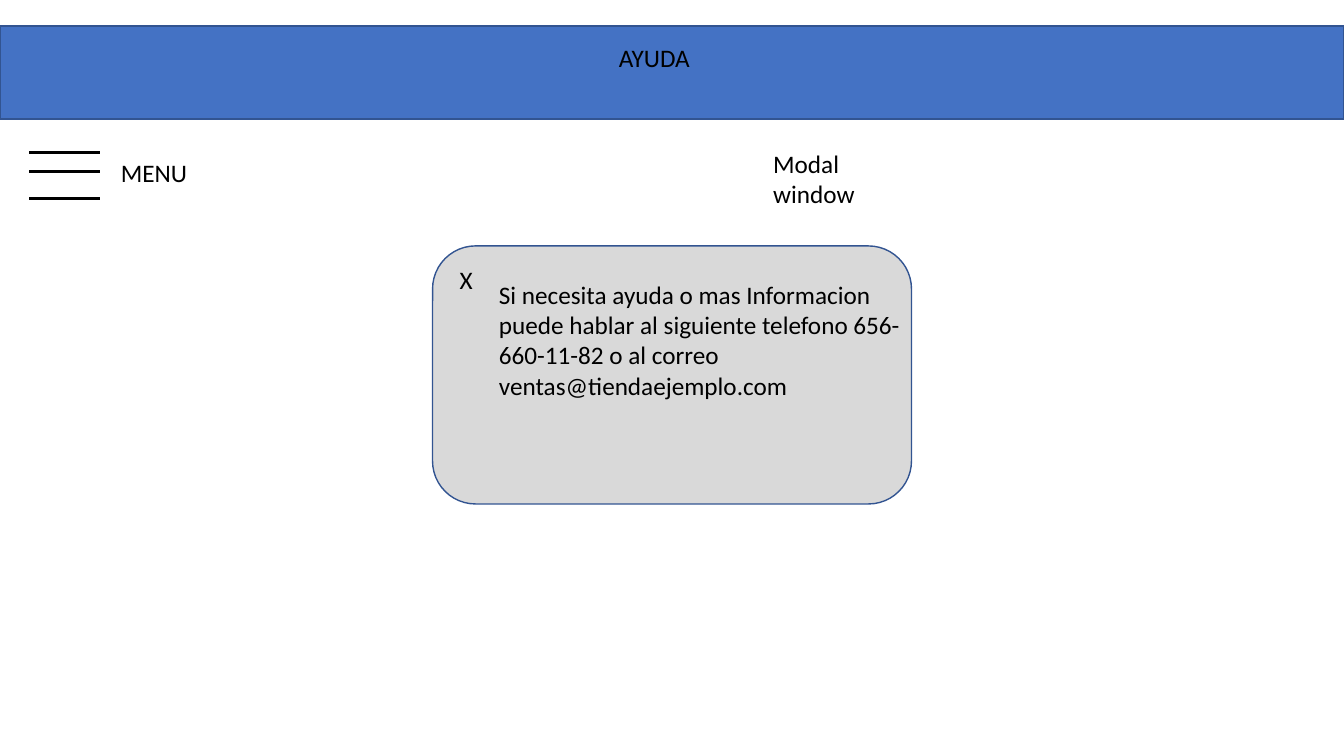
from pptx import Presentation
from pptx.dml.color import RGBColor
from pptx.enum.shapes import MSO_CONNECTOR, MSO_SHAPE
from pptx.enum.text import MSO_AUTO_SIZE
from pptx.oxml.ns import qn
from pptx.util import Inches, Pt
from lxml import etree

FONT = "Calibri"
BLACK, BLUE, OUTLINE, GREY = "000000", "4472C4", "325491", "D9D9D9"


def rgb(color):
    return RGBColor.from_string(color)


def add_panel(slide, kind, left, top, width, height, fill):
    sp = slide.shapes.add_shape(kind, Inches(left), Inches(top), Inches(width), Inches(height))
    sp.shadow.inherit = False
    sp.fill.solid()
    sp.fill.fore_color.rgb = rgb(fill)
    sp.line.color.rgb = rgb(OUTLINE)
    sp.line.width = Pt(1)


def add_label(slide, text, left, top, width, height):
    sp = slide.shapes.add_textbox(Inches(left), Inches(top), Inches(width), Inches(height))
    tf = sp.text_frame
    tf.word_wrap = True
    tf.auto_size = MSO_AUTO_SIZE.SHAPE_TO_FIT_TEXT
    r = tf.paragraphs[0].add_run()
    r.text = text
    r.font.name = FONT
    r.font.size = Pt(18)
    r.font.color.rgb = rgb(BLACK)


def add_menu_bar(slide, left, right, y):
    line = slide.shapes.add_connector(
        MSO_CONNECTOR.STRAIGHT, Inches(left), Inches(y), Inches(right), Inches(y))
    line.line.color.rgb = rgb(BLACK)
    line.line.width = Pt(2.25)
    etree.SubElement(line._element.spPr, qn("a:effectLst"))


def main():
    prs = Presentation()
    prs.slide_width, prs.slide_height = Inches(13.33), Inches(7.5)
    slide = prs.slides.add_slide(prs.slide_layouts[6])

    add_panel(slide, MSO_SHAPE.ROUNDED_RECTANGLE, 4.29, 2.44, 4.75, 2.56, GREY)
    add_panel(slide, MSO_SHAPE.RECTANGLE, 0, 0.26, 13.33, 0.92, BLUE)
    add_label(slide, "AYUDA", 6.04, 0.37, 3, 0.71)

    for y in (1.51, 1.7, 1.97):
        add_menu_bar(slide, 0.29, 0.99, y)
    add_label(slide, "MENU", 1.1, 1.51, 0.91, 0.4)

    add_label(slide, "Si necesita ayuda o mas Informacion puede hablar al siguiente "
              "telefono 656-660-11-82 o al correo ventas@tiendaejemplo.com",
              4.85, 2.72, 4.25, 1.62)
    add_label(slide, "Modal window", 7.57, 1.42, 1.54, 0.71)
    add_label(slide, "X", 4.46, 2.57, 0.53, 0.4)

    prs.save("out.pptx")


if __name__ == "__main__":
    main()
